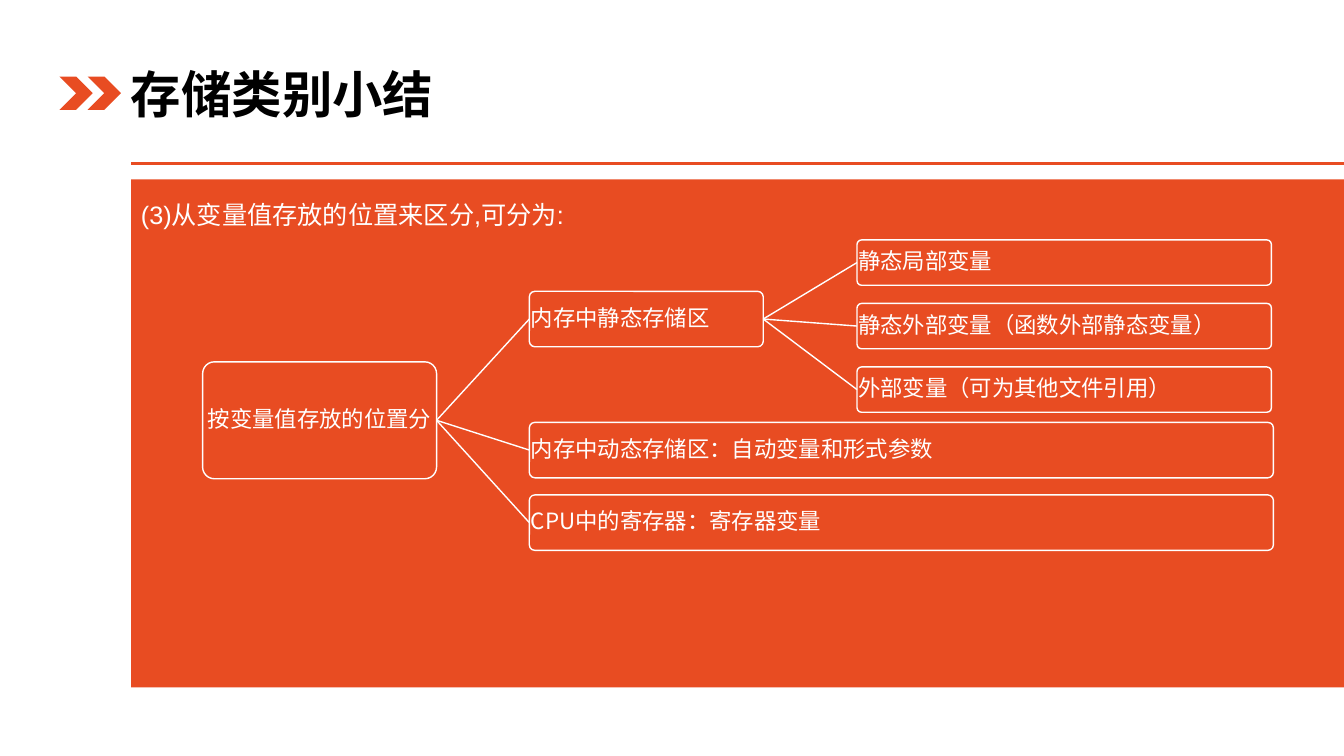
from dataclasses import dataclass, field
from lxml import etree
from pptx import Presentation
from pptx.dml.color import RGBColor
from pptx.enum.shapes import MSO_CONNECTOR as CONN, MSO_SHAPE as SHAPE
from pptx.enum.text import MSO_ANCHOR as ANCHOR, PP_ALIGN as ALIGN
from pptx.oxml.ns import qn
from pptx.shapes.autoshape import Shape
from pptx.slide import Slide
from pptx.util import Inches, Pt

ORANGE, WHITE, BLACK = "E84C22", "FFFFFF", "000000"
CJK = "Noto Sans CJK SC"


@dataclass
class Node:
    text: str
    x: float
    y: float
    w: float
    h: float
    align: ALIGN = ALIGN.LEFT
    children: list["Node"] = field(default_factory=list)


def rgb(color: str) -> RGBColor:
    return RGBColor.from_string(color)


def set_text(sp: Shape, text: str, size: int, color: str, font: str = CJK,
             bold: bool = False, align: ALIGN = ALIGN.LEFT, spacing: float = 1.0,
             anchor: ANCHOR = ANCHOR.MIDDLE) -> None:
    tf = sp.text_frame
    tf.word_wrap = True
    tf.vertical_anchor = anchor
    p = tf.paragraphs[0]
    p.text = text
    p.alignment = align
    p.line_spacing = spacing
    p.font.size = Pt(size)
    p.font.bold = bold
    p.font.color.rgb = rgb(color)
    p.font.name = font
    east_asian = etree.SubElement(p._p.pPr.find(qn("a:defRPr")), qn("a:ea"))
    east_asian.set("typeface", CJK)


def add_block(s: Slide, kind: SHAPE, x: float, y: float, w: float, h: float) -> Shape:
    sp = s.shapes.add_shape(kind, Inches(x), Inches(y), Inches(w), Inches(h))
    sp.shadow.inherit = False
    sp.fill.solid()
    sp.fill.fore_color.rgb = rgb(ORANGE)
    sp.line.fill.background()
    return sp


def add_line(s: Slide, x1: float, y1: float, x2: float, y2: float,
             color: str, width: float):
    line = s.shapes.add_connector(CONN.STRAIGHT, Inches(x1), Inches(y1),
                                  Inches(x2), Inches(y2))
    line.line.color.rgb = rgb(color)
    line.line.width = Pt(width)
    etree.SubElement(line._element.spPr, qn("a:effectLst"))
    return line


def add_node(s: Slide, node: Node) -> Shape:
    sp = add_block(s, SHAPE.ROUNDED_RECTANGLE, node.x, node.y, node.w, node.h)
    sp.adjustments[0] = 0.1
    sp.line.color.rgb = rgb(WHITE)
    sp.line.width = Pt(1)
    tf = sp.text_frame
    tf.margin_left = tf.margin_right = tf.margin_top = tf.margin_bottom = 0
    set_text(sp, node.text, 16, WHITE, align=node.align, spacing=0.9)
    for child in node.children:
        child_sp = add_node(s, child)
        link = add_line(s, node.x + node.w, node.y + node.h / 2,
                        child.x, child.y + child.h / 2, WHITE, 1)
        link.begin_connect(sp, 3)
        link.end_connect(child_sp, 1)
    return sp


def main() -> None:
    """Build the slide on storage classes."""
    prs = Presentation()
    prs.slide_width, prs.slide_height = Inches(13.33), Inches(7.5)
    s = prs.slides.add_slide(prs.slide_layouts[6])

    add_line(s, 1.3, 1.62, 13.33, 1.62, ORANGE, 2.25)
    panel = add_block(s, SHAPE.RECTANGLE, 1.3, 1.78, 12.03, 5.04)
    set_text(panel, "(3)从变量值存放的位置来区分,可分为:", 18, WHITE, font="Arial",
             spacing=1.5, anchor=ANCHOR.TOP)
    title = s.shapes.add_textbox(Inches(1.2), Inches(0.53), Inches(5.94), Inches(0.79))
    set_text(title, "存储类别小结", 36, BLACK, bold=True)
    for x in (0.59, 0.87):
        add_block(s, SHAPE.CHEVRON, x, 0.76, 0.33, 0.33)

    static_kinds = ["静态局部变量", "静态外部变量（函数外部静态变量）", "外部变量（可为其他文件引用）"]
    leaves = [Node(text, 8.5, 2.38 + 0.63 * i, 4.11, 0.45)
              for i, text in enumerate(static_kinds)]
    areas = [
        Node("内存中静态存储区", 5.25, 2.89, 2.32, 0.55, children=leaves),
        Node("内存中动态存储区：自动变量和形式参数", 5.25, 4.19, 7.38, 0.55),
        Node("CPU中的寄存器：寄存器变量", 5.25, 4.91, 7.38, 0.55),
    ]
    add_node(s, Node("按变量值存放的位置分", 2.01, 3.59, 2.32, 1.16, ALIGN.CENTER, areas))

    prs.save("out.pptx")


if __name__ == "__main__":
    main()
